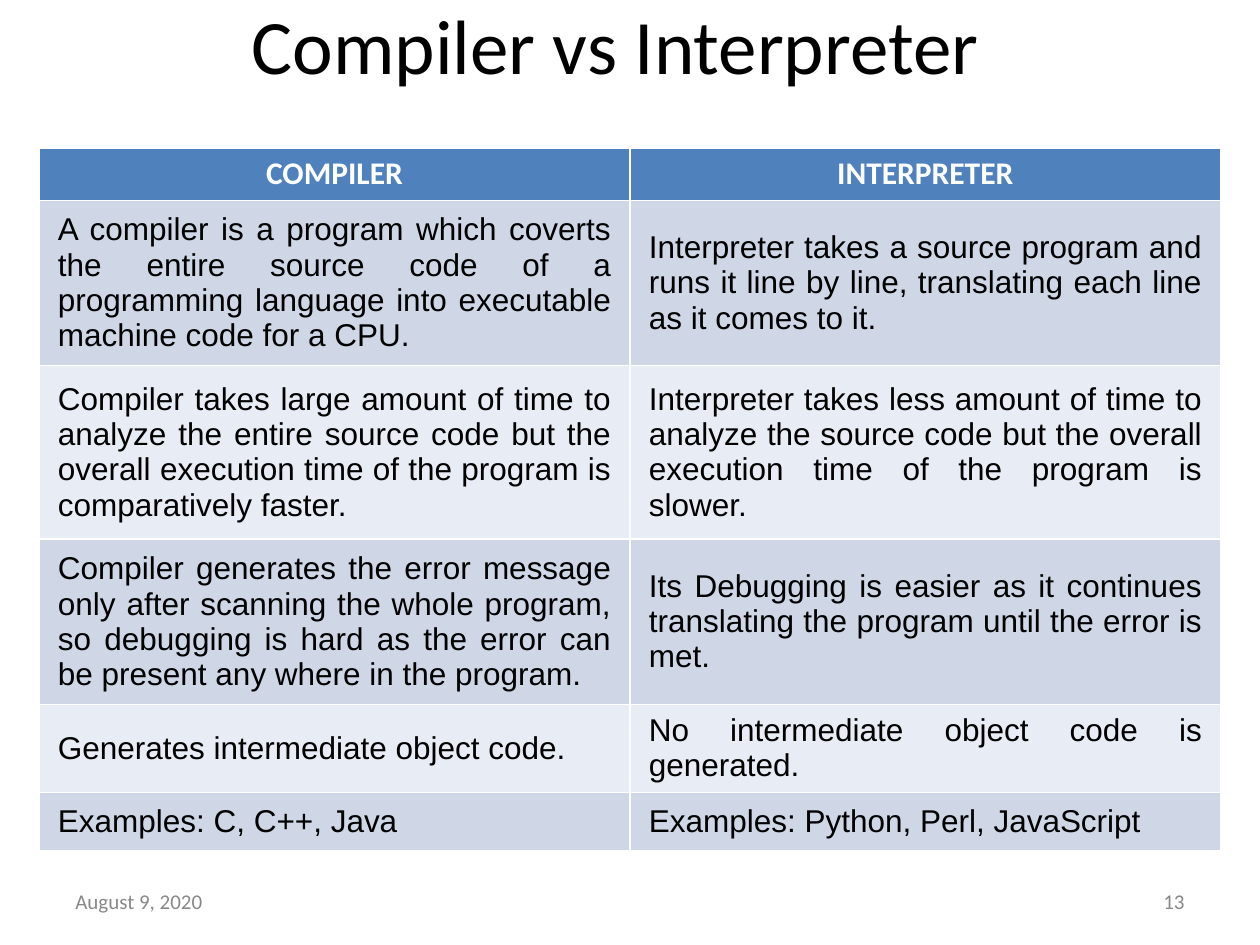
from pptx import Presentation, util as u
from pptx.dml.color import RGBColor
from pptx.enum import text

TITLE = "Compiler vs Interpreter"
HEADINGS = ("COMPILER", "INTERPRETER")
COMPARISON = [
    ("A compiler is a program which coverts the entire source code of a "
     "programming language into executable machine code for a CPU.",
     "Interpreter takes a source program and runs it line by line, "
     "translating each line as it comes to it."),
    ("Compiler takes large amount of time to analyze the entire source code "
     "but the overall execution time of the program is comparatively faster.",
     "Interpreter takes less amount of time to analyze the source code but "
     "the overall execution time of the program is slower."),
    ("Compiler generates the error message only after scanning the whole "
     "program, so debugging is hard as the error can be present any where in "
     "the program.",
     "Its Debugging is easier as it continues translating the program until "
     "the error is met."),
    ("Generates intermediate object code.",
     "No intermediate object code is generated."),
    ("Examples: C, C++, Java", "Examples: Python, Perl, JavaScript"),
]
ROW_HEIGHTS = (0.41, 1.31, 1.38, 1.31, 0.7, 0.46)
DATE, PAGE = "August 9, 2020", "13"

BLACK = RGBColor(0x00, 0x00, 0x00)
WHITE = RGBColor(0xFF, 0xFF, 0xFF)
GREY = RGBColor(0x88, 0x88, 0x88)
BLUE = RGBColor(0x4F, 0x81, 0xBD)
BANDS = (RGBColor(0xCF, 0xD7, 0xE7), RGBColor(0xE8, 0xEC, 0xF4))

WIDTH, HEIGHT = 10, 7.5
TABLE_TOP, TABLE_WIDTH = 1.18, 9.38
FOOTER_MARGIN, FOOTER_TOP, FOOTER_WIDTH, FOOTER_HEIGHT = 0.5, 6.95, 2.33, 0.4


def box(left, top, width, height):
    return [u.Inches(length) for length in (left, top, width, height)]


def write(frame, words, size, font, color, align, bold=False):
    frame.text = words
    paragraph = frame.paragraphs[0]
    paragraph.alignment = align
    style = paragraph.runs[0].font
    style.size, style.name, style.bold = u.Pt(size), font, bold
    style.color.rgb = color


def add_title(slide):
    title = slide.shapes.title
    title.left, title.top, title.width, title.height = box(1.02, 0, 7.73, 0.7)
    title.text_frame.vertical_anchor = text.MSO_ANCHOR.MIDDLE
    write(title.text_frame, TITLE, 44, "Calibri", BLACK, text.PP_ALIGN.CENTER)


def add_comparison(slide):
    rows = [HEADINGS, *COMPARISON]
    place = box((WIDTH - TABLE_WIDTH) / 2, TABLE_TOP, TABLE_WIDTH, sum(ROW_HEIGHTS))
    table = slide.shapes.add_table(len(rows), len(HEADINGS), *place).table
    for r, (entries, height) in enumerate(zip(rows, ROW_HEIGHTS)):
        table.rows[r].height = u.Inches(height)
        for c, words in enumerate(entries):
            cell = table.cell(r, c)
            cell.fill.solid()
            if r == 0:
                cell.fill.fore_color.rgb = BLUE
                write(cell.text_frame, words, 18, "Calibri", WHITE,
                      text.PP_ALIGN.CENTER, bold=True)
                continue
            cell.fill.fore_color.rgb = BANDS[(r - 1) % 2]
            cell.vertical_anchor = text.MSO_ANCHOR.MIDDLE
            cell.margin_left = cell.margin_right = u.Inches(0.15)
            cell.margin_top = cell.margin_bottom = u.Inches(0.07)
            write(cell.text_frame, words, 18, "Arial", BLACK,
                  text.PP_ALIGN.JUSTIFY)


def add_footer(slide):
    page_left = WIDTH - FOOTER_MARGIN - FOOTER_WIDTH
    for words, left, align in ((DATE, FOOTER_MARGIN, text.PP_ALIGN.LEFT),
                               (PAGE, page_left, text.PP_ALIGN.RIGHT)):
        frame = slide.shapes.add_textbox(
            *box(left, FOOTER_TOP, FOOTER_WIDTH, FOOTER_HEIGHT)).text_frame
        frame.word_wrap = True
        frame.vertical_anchor = text.MSO_ANCHOR.MIDDLE
        write(frame, words, 12, "Calibri", GREY, align)


def main():
    deck = Presentation()
    deck.slide_width, deck.slide_height = u.Inches(WIDTH), u.Inches(HEIGHT)
    slide = deck.slides.add_slide(deck.slide_layouts.get_by_name("Title Only"))
    add_title(slide)
    add_comparison(slide)
    add_footer(slide)
    deck.save("out.pptx")


if __name__ == "__main__":
    main()
